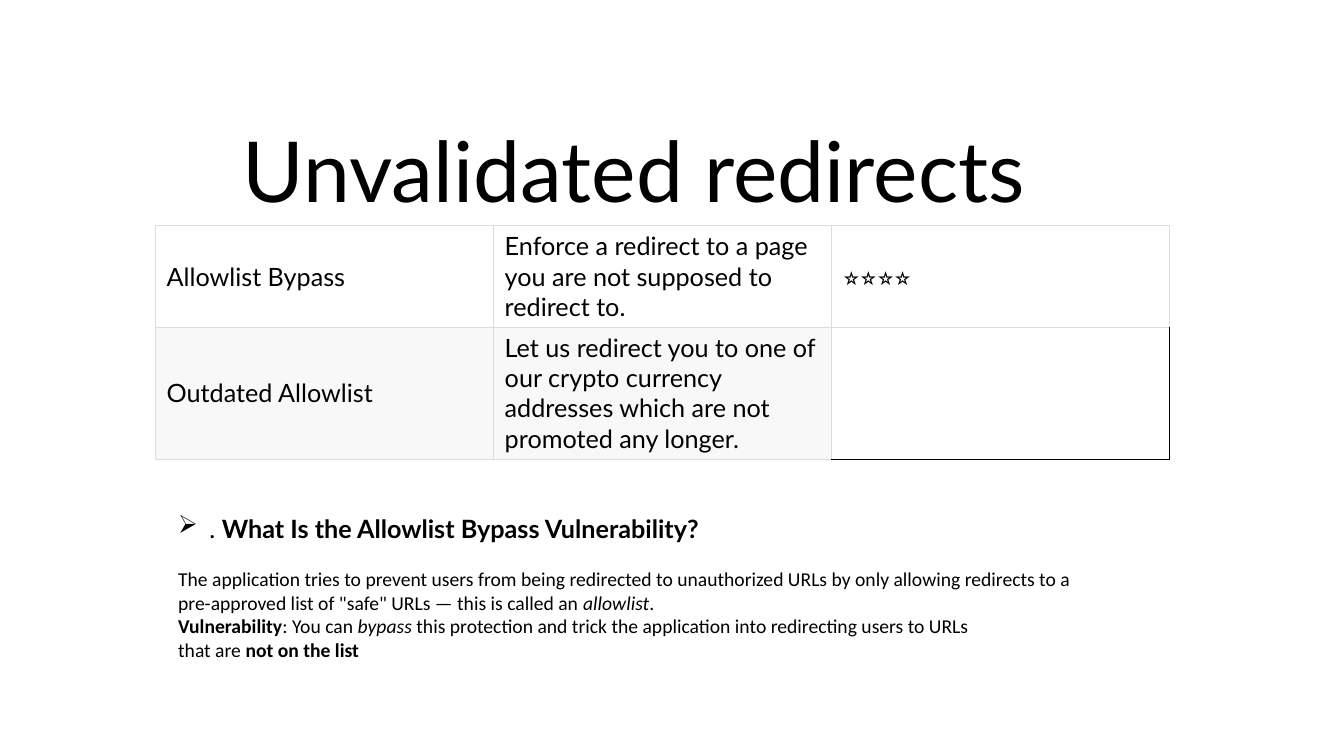
from lxml import etree
from pptx import Presentation
from pptx import util as u
from pptx.dml.color import RGBColor
from pptx.enum import text as t
from pptx.oxml.ns import qn

BLACK = RGBColor(0x00, 0x00, 0x00)
WHITE = RGBColor(0xFF, 0xFF, 0xFF)
PALE = RGBColor(0xF8, 0xF8, 0xF8)
GREY = RGBColor(0xDD, 0xDD, 0xDD)

TITLE = "Unvalidated redirects"
CHALLENGES = [
    ("Allowlist Bypass",
     "Enforce a redirect to a page you are not supposed to redirect to.",
     "⭐⭐⭐⭐"),
    ("Outdated Allowlist",
     "Let us redirect you to one of our crypto currency addresses "
     "which are not promoted any longer.",
     ""),
]
ROW_FILLS = [WHITE, PALE]
ROW_HEIGHTS = [u.Cm(2.53), u.Cm(3.33)]
COLUMN_WIDTH = u.Cm(8.52)

PLAIN, BOLD, ITALIC = {}, {"bold": True}, {"italic": True}
HEADING = [(". ", PLAIN), ("What Is the Allowlist Bypass Vulnerability?", BOLD)]
EXPLANATION = [
    [("The application tries to prevent users from being redirected to "
      "unauthorized URLs by only allowing redirects to a", PLAIN)],
    [('pre-approved list of "safe" URLs — this is called an ', PLAIN),
     ("allowlist", ITALIC), (".", PLAIN)],
    [("Vulnerability", BOLD), (": You can ", PLAIN), ("bypass", ITALIC),
     (" this protection and trick the application into redirecting users to URLs",
      PLAIN)],
    [("that are ", PLAIN), ("not on the list", BOLD)],
]


def write(paragraph, runs, size, face):
    for words, style in runs:
        run = paragraph.add_run()
        run.text = words
        run.font.color.rgb = BLACK
        for name, value in {"size": u.Pt(size), "name": face, **style}.items():
            setattr(run.font, name, value)


def place(shape, left, top, width, height):
    box = {"left": left, "top": top, "width": width, "height": height}
    for name, value in box.items():
        setattr(shape, name, u.Cm(value))


def set_borders(cell, colours):
    """Draw the left, right, top and bottom borders, ahead of the cell's fill."""
    properties = cell._tc.get_or_add_tcPr()
    for position, (side, colour) in enumerate(zip("LRTB", colours)):
        line = etree.Element(qn(f"a:ln{side}"), w=str(u.Pt(0.6)))
        fill = etree.SubElement(line, qn("a:solidFill"))
        etree.SubElement(fill, qn("a:srgbClr"), val=str(colour))
        properties.insert(position, line)


def add_title(slide):
    title = slide.shapes.title
    place(title, 4.24, 3.12, 23.47, 2.57)
    frame = title.text_frame
    frame.auto_size = t.MSO_AUTO_SIZE.NONE
    frame.vertical_anchor = t.MSO_ANCHOR.BOTTOM
    heading = frame.paragraphs[0]
    heading.alignment = t.PP_ALIGN.CENTER
    heading.line_spacing = 0.9
    write(heading, [(TITLE, PLAIN)], 60, "Lato")


def add_challenges(slide):
    columns = len(CHALLENGES[0])
    table = slide.shapes.add_table(
        len(CHALLENGES), columns, u.Cm(3.92), u.Cm(5.69),
        COLUMN_WIDTH * columns, sum(ROW_HEIGHTS)).table
    table.first_row = table.horz_banding = False
    for column in table.columns:
        column.width = COLUMN_WIDTH
    for row, challenge, fill, height in zip(
            table.rows, CHALLENGES, ROW_FILLS, ROW_HEIGHTS):
        row.height = height
        for cell, words in zip(row.cells, challenge):
            cell.vertical_anchor = t.MSO_ANCHOR.MIDDLE
            cell.margin_left = cell.margin_right = u.Cm(0.28)
            cell.margin_top = cell.margin_bottom = u.Cm(0.13)
            if words:
                cell.fill.solid()
                cell.fill.fore_color.rgb = fill
                write(cell.text_frame.paragraphs[0], [(words, PLAIN)], 18, "Lato")
                set_borders(cell, [GREY] * 4)
            else:
                cell.fill.background()
                set_borders(cell, [GREY, BLACK, GREY, BLACK])


def add_explanation(slide):
    box = slide.shapes.add_textbox(0, 0, 0, 0)
    place(box, 4.24, 12.8, 23.34, 4.01)
    frame = box.text_frame
    frame.word_wrap = True
    heading = frame.paragraphs[0]
    write(heading, HEADING, 18, "Lato")
    properties = heading._p.get_or_add_pPr()
    indent = u.Cm(0.79)
    properties.set("marL", str(indent))
    properties.set("indent", str(-indent))
    etree.SubElement(properties, qn("a:buChar"), char="➢")
    for number, runs in enumerate(EXPLANATION):
        paragraph = frame.add_paragraph()
        paragraph.space_before = u.Pt(0 if number else 17)
        write(paragraph, runs, 14, "Calibri")


def main():
    deck = Presentation()
    deck.slide_width, deck.slide_height = u.Cm(33.87), u.Cm(19.05)
    slide = deck.slides.add_slide(deck.slide_layouts[5])
    add_title(slide)
    add_challenges(slide)
    add_explanation(slide)
    deck.save("out.pptx")


if __name__ == "__main__":
    main()
